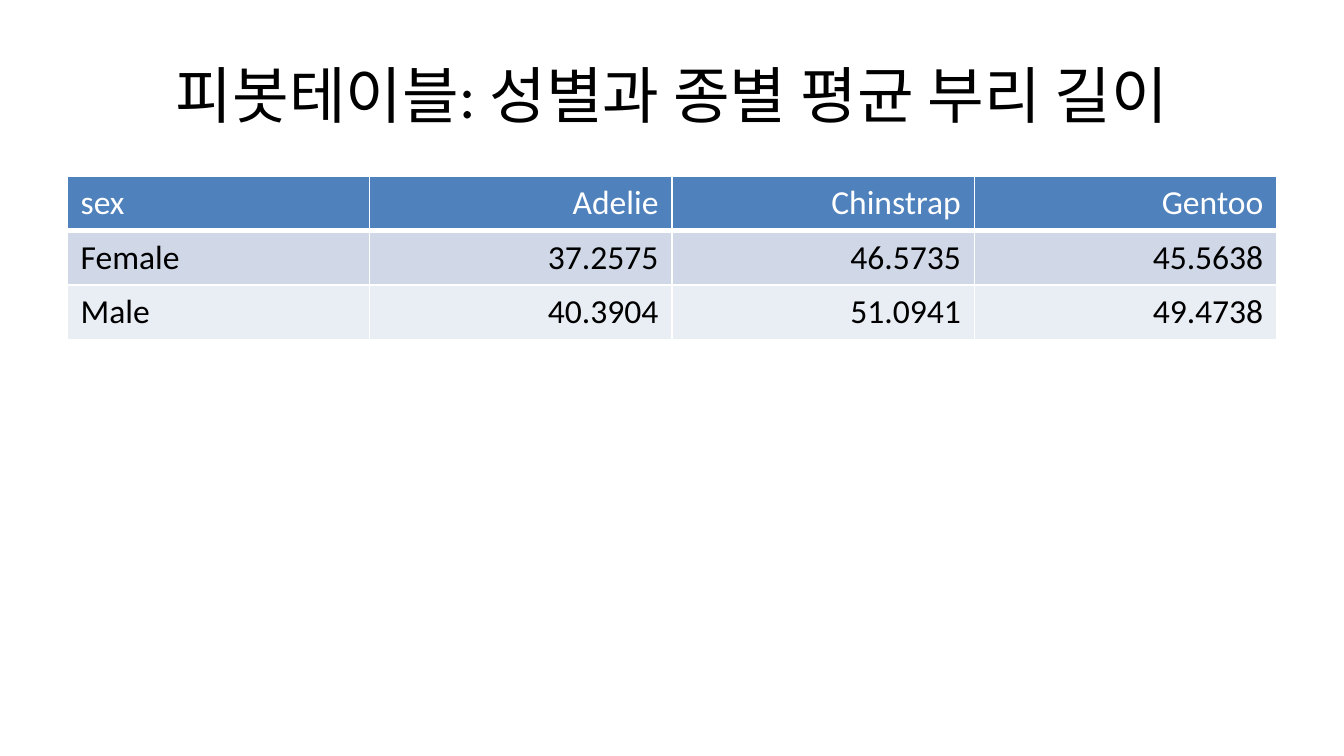
import dataclasses

import lxml.etree
import pptx
import pptx.dml.color
import pptx.enum.text
import pptx.oxml.ns
import pptx.util

Cm = pptx.util.Cm
Align = pptx.enum.text.PP_ALIGN
Anchor = pptx.enum.text.MSO_ANCHOR


@dataclasses.dataclass(frozen=True)
class Theme:
    font: str = "Calibri"
    title_size: float = 33
    table_size: float = 18
    text: str = "000000"
    header_text: str = "FFFFFF"
    header_fill: str = "4F81BD"
    band_fills: tuple = ("D0D8E8", "E9EDF4")
    border: str = "FFFFFF"
    border_width: float = 1
    header_rule_width: float = 3


@dataclasses.dataclass(frozen=True)
class Box:
    left: float
    top: float
    width: float
    height: float


THEME = Theme()
TITLE = "피봇테이블: 성별과 종별 평균 부리 길이"
BILL_LENGTHS = [
    ["sex", "Adelie", "Chinstrap", "Gentoo"],
    ["Female", "37.2575", "46.5735", "45.5638"],
    ["Male", "40.3904", "51.0941", "49.4738"],
]


def write_text(frame, text, *, size, color, align):
    para = frame.paragraphs[0]
    para.alignment = align
    span = para.add_run()
    span.text = text
    span.font.name = THEME.font
    span.font.size = pptx.util.Pt(size)
    span.font.bold = False
    span.font.color.rgb = pptx.dml.color.RGBColor.from_string(color)


def add_borders(cell, bottom_width):
    qualify = pptx.oxml.ns.qn
    properties = cell._tc.get_or_add_tcPr()
    sides = {side: THEME.border_width for side in ("lnL", "lnR", "lnT")}
    sides["lnB"] = bottom_width
    for side, width in sides.items():
        line = lxml.etree.SubElement(
            properties, qualify(f"a:{side}"), w=str(pptx.util.Pt(width))
        )
        fill = lxml.etree.SubElement(line, qualify("a:solidFill"))
        lxml.etree.SubElement(fill, qualify("a:srgbClr"), val=THEME.border)


def place_title(page, box, text):
    title = page.shapes.title
    title.left, title.top = Cm(box.left), Cm(box.top)
    title.width, title.height = Cm(box.width), Cm(box.height)
    frame = title.text_frame
    frame.word_wrap = True
    frame.auto_size = pptx.enum.text.MSO_AUTO_SIZE.NONE
    frame.vertical_anchor = Anchor.MIDDLE
    write_text(frame, text, size=THEME.title_size, color=THEME.text, align=Align.CENTER)


def place_table(page, box, rows):
    table = page.shapes.add_table(
        len(rows), len(rows[0]),
        Cm(box.left), Cm(box.top), Cm(box.width), Cm(box.height),
    ).table
    for row_index, row in enumerate(rows):
        is_header = row_index == 0
        fill = THEME.header_fill if is_header else THEME.band_fills[(row_index - 1) % 2]
        color = THEME.header_text if is_header else THEME.text
        bottom_width = THEME.header_rule_width if is_header else THEME.border_width
        for column_index, text in enumerate(row):
            cell = table.cell(row_index, column_index)
            add_borders(cell, bottom_width)
            cell.fill.solid()
            cell.fill.fore_color.rgb = pptx.dml.color.RGBColor.from_string(fill)
            align = Align.RIGHT if column_index else Align.LEFT
            write_text(
                cell.text_frame, text, size=THEME.table_size, color=color, align=align
            )


def main():
    deck = pptx.Presentation()
    deck.slide_width, deck.slide_height = Cm(25.4), Cm(14.29)
    page = deck.slides.add_slide(deck.slide_layouts.get_by_name("Title Only"))
    place_title(page, Box(1.27, 0.58, 22.86, 2.39), TITLE)
    place_table(page, Box(1.27, 3.33, 22.86, 3.09), BILL_LENGTHS)
    deck.save("out.pptx")


if __name__ == "__main__":
    main()
